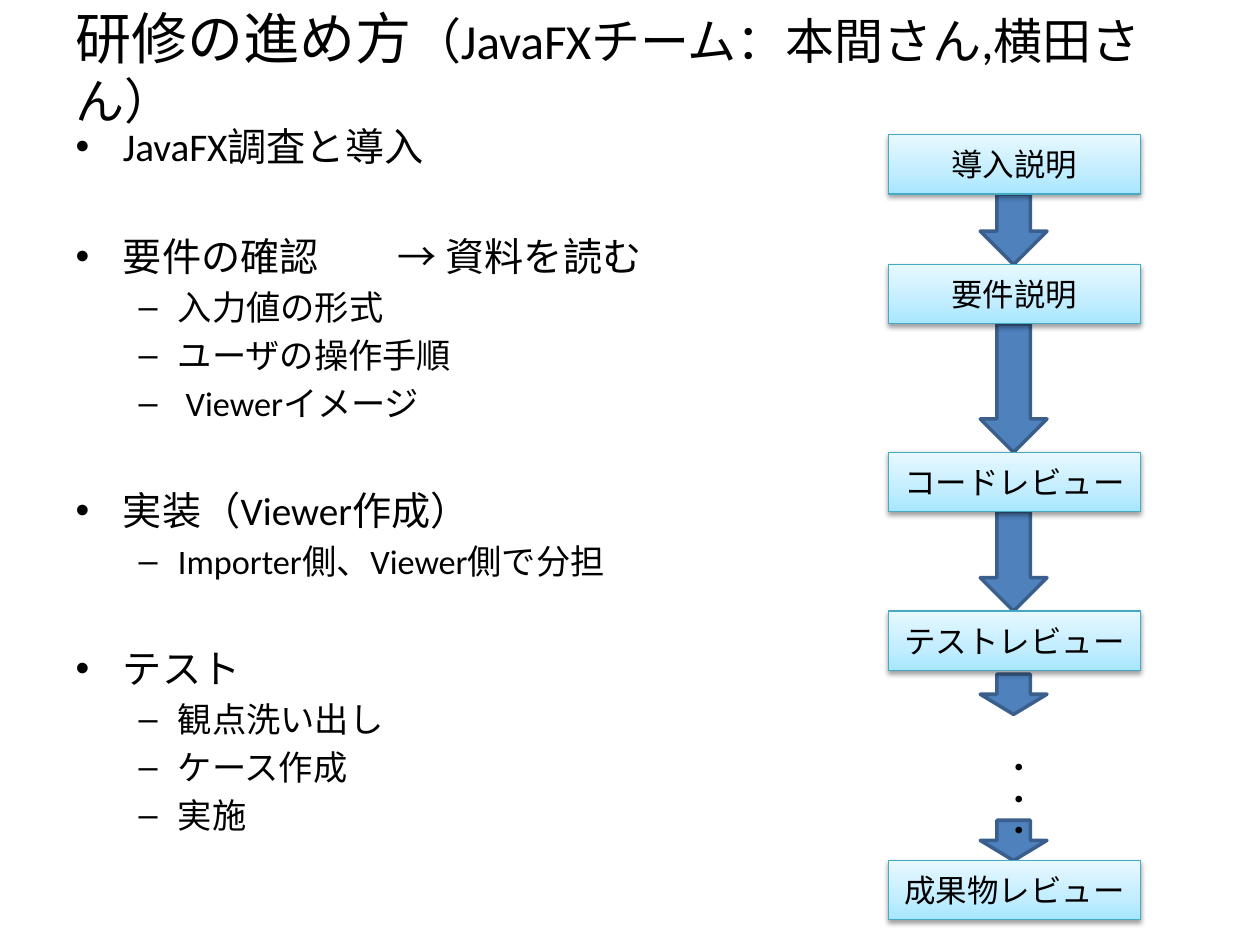
from lxml import etree
from pptx import Presentation
from pptx import util as u
from pptx.dml.color import RGBColor
from pptx.enum import shapes, text
from pptx.oxml import ns

COLORS = {
    "text": "000000", "arrow": "4F81BD", "arrow_edge": "3A5F8C", "box_edge": "46AAC5",
    "box_low": "A7E6FF", "box_mid": "C1EDFF", "box_high": "E7F8FF", "shadow": "000000",
}
COLUMNS, ROWS = 20, 15
BOX_LEFT, BOX_WIDTH, BOX_HEIGHT = 14.1, 4, 0.94
ARROW_LEFT, ARROW_WIDTH, SHORT_ARROW = 15.56, 1.06, 0.64


def child(parent, tag, **attributes):
    """Append a drawing element with the given attributes."""
    element = etree.SubElement(parent, ns.qn("a:" + tag))
    for name, value in attributes.items():
        element.set(name, str(value))
    return element


class SlideBuilder:
    """Holds the style and the current slide."""

    font = "Calibri"
    level_sizes = (22.4, 19.6)
    level_gaps = (4.5, 3.9)
    group_gap = 36

    def __init__(self, presentation):
        """Add a title and content slide."""
        self.presentation = presentation
        self.slide = presentation.slides.add_slide(presentation.slide_layouts[1])

    def grid(self, left, top, width, height):
        """Turn columns and rows into slide lengths."""
        column = self.presentation.slide_width / COLUMNS
        row = self.presentation.slide_height / ROWS
        return [u.Emu(round(n * step)) for n, step in
                zip((left, top, width, height), (column, row, column, row))]

    def run(self, paragraph, words, size):
        """Add one styled run."""
        run = paragraph.add_run()
        run.text = words
        run.font.name, run.font.size = self.font, u.Pt(size)
        run.font.color.rgb = RGBColor.from_string(COLORS["text"])

    def place(self, placeholder, *area):
        """Move a placeholder and return its text frame."""
        (placeholder.left, placeholder.top,
         placeholder.width, placeholder.height) = self.grid(*area)
        frame = placeholder.text_frame
        frame.auto_size = text.MSO_AUTO_SIZE.NONE
        return frame

    def title(self, runs, *area):
        """Fill the title from pairs of words and size."""
        frame = self.place(self.slide.shapes.title, *area)
        frame.vertical_anchor = text.MSO_ANCHOR.MIDDLE
        paragraph = frame.paragraphs[0]
        paragraph.alignment = text.PP_ALIGN.LEFT
        for words, size in runs:
            self.run(paragraph, words, size)

    def outline(self, groups, *area):
        """Fill the body with groups of one heading and its details."""
        frame = self.place(self.slide.placeholders[1], *area)
        for number, lines in enumerate(groups):
            for position, words in enumerate(lines):
                first = number == position == 0
                paragraph = frame.paragraphs[0] if first else frame.add_paragraph()
                level = min(position, 1)
                paragraph.level = level
                gap = self.level_gaps[1] if level else self.group_gap
                paragraph.space_before = u.Pt(0 if first else gap)
                self.run(paragraph, words, self.level_sizes[level])

    def arrow(self, top, height):
        """Draw a down arrow of the flow."""
        shape = self.slide.shapes.add_shape(
            shapes.MSO_SHAPE.DOWN_ARROW, *self.grid(ARROW_LEFT, top, ARROW_WIDTH, height))
        shape.shadow.inherit = False
        shape.fill.solid()
        shape.fill.fore_color.rgb = RGBColor.from_string(COLORS["arrow"])
        shape.line.color.rgb = RGBColor.from_string(COLORS["arrow_edge"])
        shape.line.width = u.Pt(2)

    def box(self, words, top):
        """Draw a step box with a gradient and a soft shadow."""
        shape = self.slide.shapes.add_shape(
            shapes.MSO_SHAPE.RECTANGLE, *self.grid(BOX_LEFT, top, BOX_WIDTH, BOX_HEIGHT))
        shape.shadow.inherit = False
        shape.line.color.rgb = RGBColor.from_string(COLORS["box_edge"])
        shape.line.width = u.Pt(0.75)
        shape.fill.gradient()
        properties = shape.element.spPr
        gradient = properties.find(ns.qn("a:gradFill"))
        for element in list(gradient):
            gradient.remove(element)
        stops = child(gradient, "gsLst")
        for share, name in ((0, "box_low"), (35, "box_mid"), (100, "box_high")):
            child(child(stops, "gs", pos=share * 1000), "srgbClr", val=COLORS[name])
        child(gradient, "lin", ang=270 * 60000, scaled=0)
        shadow = child(properties.find(ns.qn("a:effectLst")), "outerShdw",
                       blurRad=u.Pt(3.1), dist=u.Pt(1.6), dir=90 * 60000, rotWithShape=0)
        child(child(shadow, "srgbClr", val=COLORS["shadow"]), "alpha", val=38000)
        frame = shape.text_frame
        frame.vertical_anchor = text.MSO_ANCHOR.MIDDLE
        frame.paragraphs[0].alignment = text.PP_ALIGN.CENTER
        self.run(frame.paragraphs[0], words, 18)

    def vertical_text(self, words, *area):
        """Add text that runs from top to bottom."""
        frame = self.slide.shapes.add_textbox(*self.grid(*area)).text_frame
        frame.word_wrap = False
        frame.auto_size = text.MSO_AUTO_SIZE.SHAPE_TO_FIT_TEXT
        frame._txBody.bodyPr.set("vert", "eaVert")
        self.run(frame.paragraphs[0], words, 18)


def main():
    """Build the training plan slide."""
    presentation = Presentation()
    presentation.slide_width, presentation.slide_height = u.Inches(10), u.Inches(7.5)
    builder = SlideBuilder(presentation)
    builder.title([("研修の進め方", 32), ("（JavaFXチーム：本間さん,横田さん）", 28)],
                  1, 0.6, 18, 0.92)
    builder.outline([
        ["JavaFX調査と導入"],
        ["要件の確認　　→ 資料を読む", "入力値の形式", "ユーザの操作手順", " Viewerイメージ"],
        ["実装（Viewer作成）", "Importer側、Viewer側で分担"],
        ["テスト", "観点洗い出し", "ケース作成", "実施"],
    ], 1, 1.84, 18, 12.76)

    steps = [("導入説明", 2.14), ("要件説明", 4.2), ("コードレビュー", 7.18),
             ("テストレビュー", 9.7), ("成果物レビュー", 13.66)]
    tops = [top for _, top in steps]
    for top, following in zip(tops[:3], tops[1:4]):
        builder.arrow(top + BOX_HEIGHT, following - top - BOX_HEIGHT)
    builder.arrow(10.7, SHORT_ARROW)
    builder.arrow(tops[-1] - SHORT_ARROW, SHORT_ARROW)
    builder.vertical_text("・・・", ARROW_LEFT, 11.74, 1, 0.96)
    for words, top in steps:
        builder.box(words, top)
    presentation.save("out.pptx")


main()
